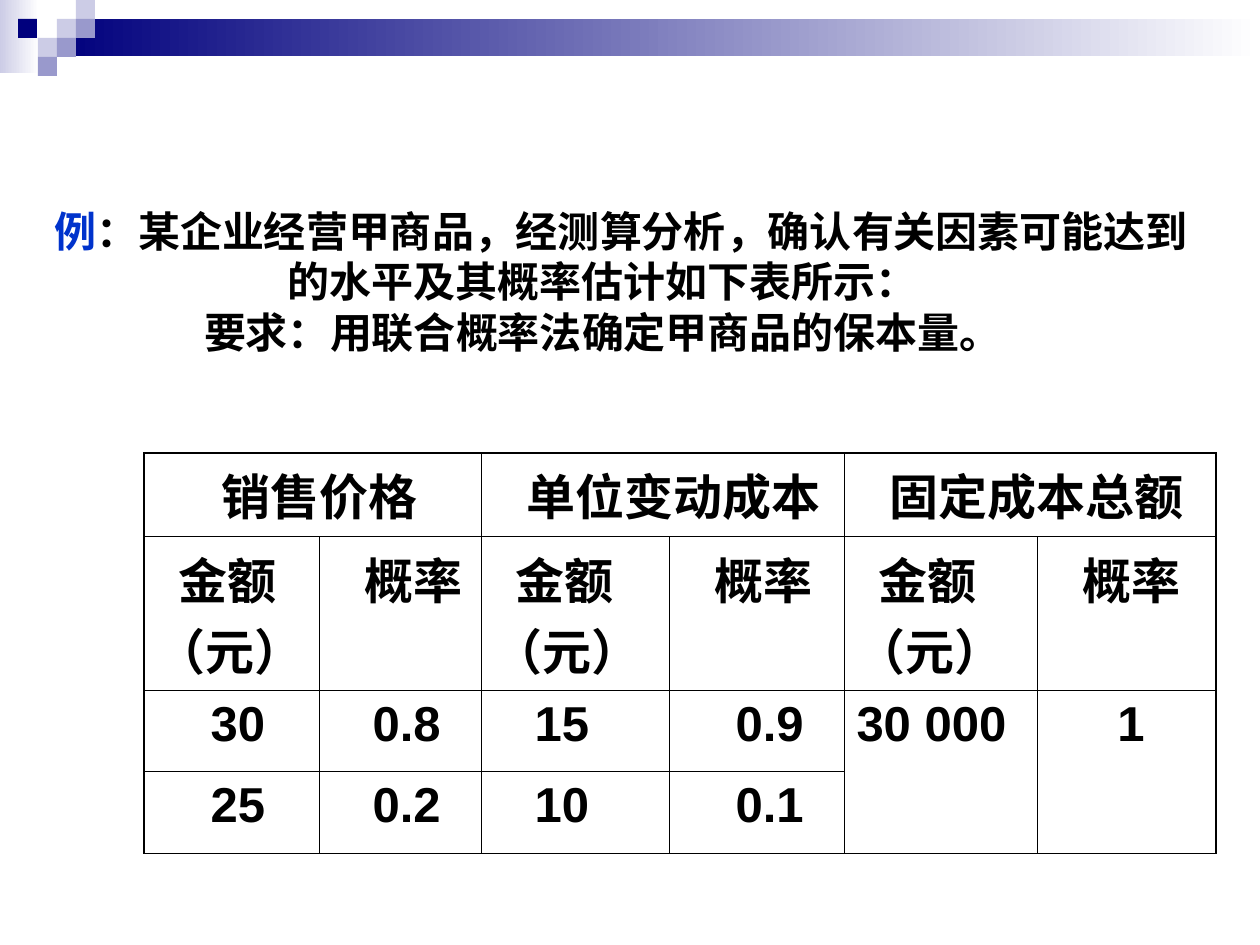
from pptx import Presentation
from pptx.dml.color import RGBColor
from pptx.enum.shapes import MSO_SHAPE
from pptx.enum.text import MSO_ANCHOR, MSO_AUTO_SIZE, PP_ALIGN
from pptx.oxml.ns import qn
from pptx.util import Pt
from lxml.etree import SubElement

PX = 7257.6  # EMU per px, at 126 px to the inch
CJK = "Noto Sans CJK SC"
NAVY, LILAC, LAVENDER, BLACK = "00007D", "9999CC", "CCCCE6", "000000"


def px(n):
    return round(n * PX)


def rgb(code):
    return RGBColor.from_string(code)


def style(p, size, font, indent=0):
    """Set the first-line indent and the bold Latin and East Asian fonts."""
    pPr = p._p.get_or_add_pPr()
    pPr.set("marL", "0")
    pPr.set("indent", str(px(indent)))
    p.font.size = Pt(size)
    p.font.bold = True
    p.font.color.rgb = rgb(BLACK)
    p.font.name = font
    SubElement(pPr.find(qn("a:defRPr")), qn("a:ea"), typeface=CJK)


def add_block(slide, x, y, w, h, color, fade=None):
    """Add a borderless rectangle, fading from left to right if asked."""
    sp = slide.shapes.add_shape(MSO_SHAPE.RECTANGLE, px(x), px(y), px(w), px(h))
    sp.shadow.inherit = False
    sp.line.fill.background()
    if fade is None:
        sp.fill.solid()
        sp.fill.fore_color.rgb = rgb(color)
        return
    sp.fill.gradient()
    sp.fill.gradient_angle = 0
    for stop, code in zip(sp.fill.gradient_stops, (color, fade)):
        stop.color.rgb = rgb(code)


def add_banner(slide):
    add_block(slide, 0, 0, 39, 73, LAVENDER, "FFFFFF")
    add_block(slide, 57, 19, 1203, 37, NAVY, "FFFFFF")
    squares = [(57, 19, LAVENDER), (76, 0, LAVENDER), (76, 19, LILAC),
               (38, 38, LAVENDER), (18, 19, NAVY), (57, 38, LILAC), (38, 57, LILAC)]
    for x, y, color in squares:
        add_block(slide, x, y, 19, 19, color)


def fill_title(title):
    title.left, title.top, title.width, title.height = px(0), px(194), px(1206), px(206)
    tf = title.text_frame
    tf.word_wrap = True
    tf.auto_size = MSO_AUTO_SIZE.NONE
    tf.vertical_anchor = MSO_ANCHOR.MIDDLE
    tf.margin_bottom = px(38)
    example = tf.paragraphs[0]
    r = example.add_run()
    r.text = "例"
    r.font.color.rgb = rgb("0033CC")
    example.add_run().text = "：某企业经营甲商品，经测算分析，确认有关因素可能达到的水平及其概率估计如下表所示："
    task = tf.add_paragraph()
    task.text = "要求：用联合概率法确定甲商品的保本量。"
    for p, indent in ((example, 36), (task, 0)):
        p.alignment = PP_ALIGN.CENTER
        p.line_spacing = Pt(28.8)
        style(p, 24, CJK, indent)


def set_borders(cell, **widths):
    tcPr = cell._tc.get_or_add_tcPr()
    for side in "LRTB":
        ln = SubElement(tcPr, qn(f"a:ln{side}"), w=str(Pt(widths[side])))
        SubElement(SubElement(ln, qn("a:solidFill")), qn("a:srgbClr"), val=BLACK)


def add_cost_table(slide):
    widths = [175, 162, 188, 175, 193, 179]
    heights = [72, 131, 81, 82]
    amount, chance = ("金额（元）", 22), ("概率", 33)
    # Each entry is the text and its first-line indent in px.
    rows = [
        [("销售价格", 65), None, ("单位变动成本", 33), None, ("固定成本总额", 33), None],
        [amount, chance] * 3,
        [("30", 54), ("0.8", 41), ("15", 41), ("0.9", 54), ("30 000", 0), ("1", 68)],
        [("25", 54), ("0.2", 41), ("10", 41), ("0.1", 54), None, None],
    ]
    table = slide.shapes.add_table(len(rows), len(widths), px(144), px(453),
                                   px(sum(widths)), px(sum(heights))).table
    table.first_row = table.horz_banding = False
    for column, w in zip(table.columns, widths):
        column.width = px(w)
    for row, h in zip(table.rows, heights):
        row.height = px(h)

    for c in (0, 2, 4):
        table.cell(0, c).merge(table.cell(0, c + 1))
    for c in (4, 5):
        table.cell(2, c).merge(table.cell(3, c))

    outer, inner = 1.08, 0.45
    for i, row in enumerate(rows):
        for j, entry in enumerate(row):
            cell = table.cell(i, j)
            right = j + (cell.span_width if cell.is_merge_origin else 1)
            bottom = i + (cell.span_height if cell.is_merge_origin else 1)
            set_borders(cell,
                        L=inner if j else outer,
                        R=outer if right == len(widths) else inner,
                        T=inner if i else outer,
                        B=outer if bottom == len(rows) else inner)
            cell.fill.background()
            if entry:
                text, indent = entry
                p = cell.text_frame.paragraphs[0]
                p.text = text
                style(p, 28, "Arial", indent)


def main():
    prs = Presentation()
    prs.slide_width, prs.slide_height = px(1260), px(945)
    slide = prs.slides.add_slide(prs.slide_layouts[5])
    add_banner(slide)
    add_cost_table(slide)
    fill_title(slide.shapes.title)
    prs.save("out.pptx")


if __name__ == "__main__":
    main()
